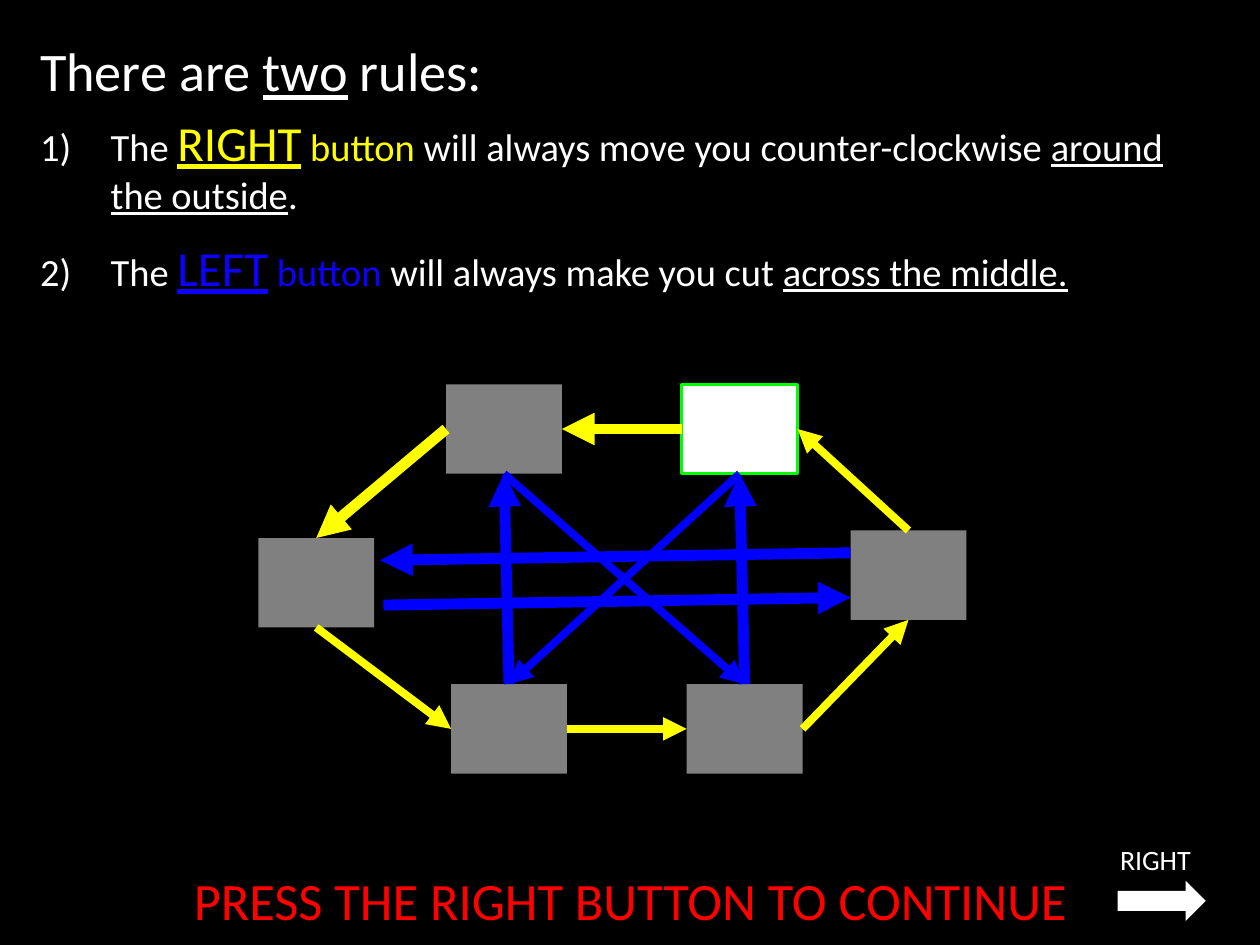
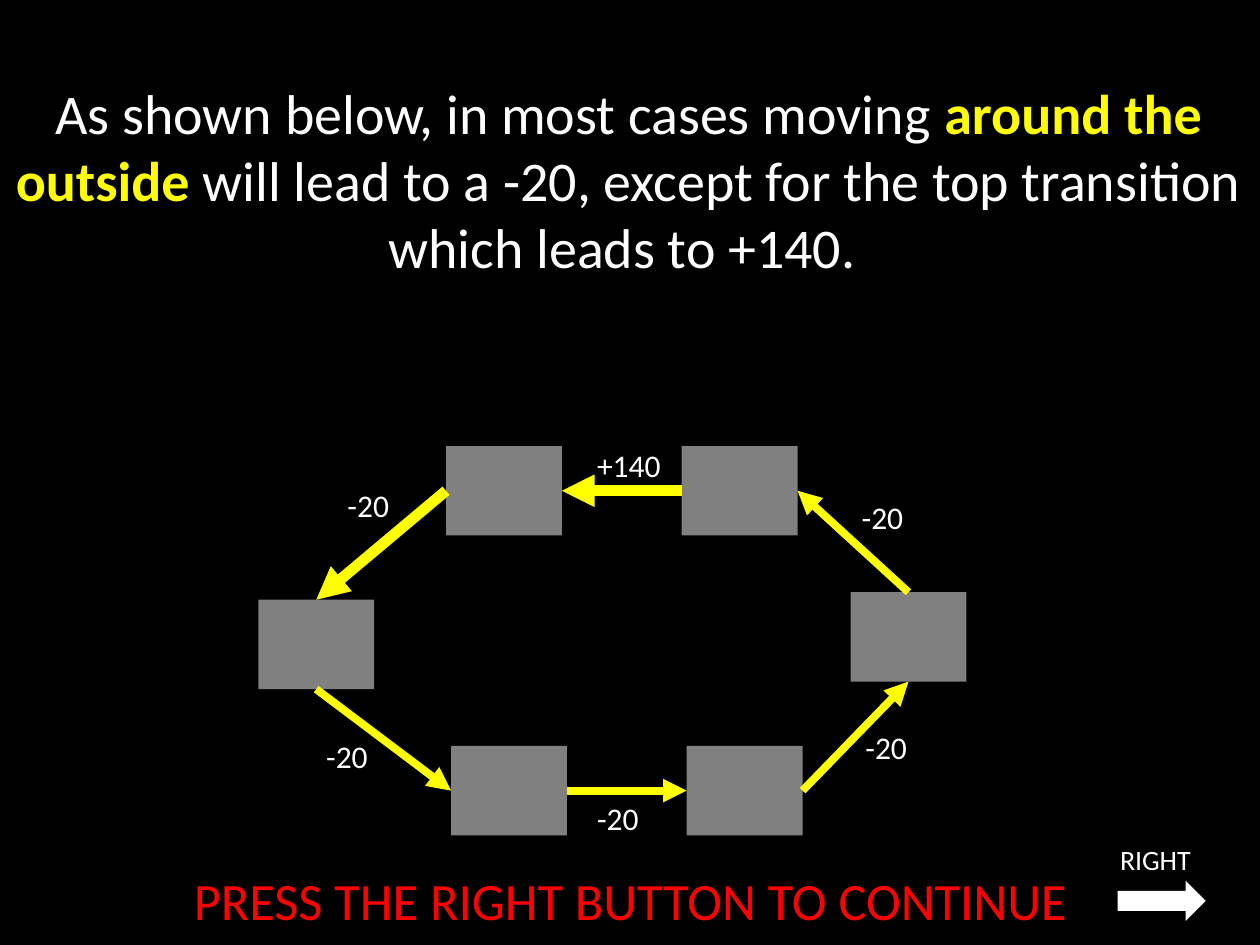
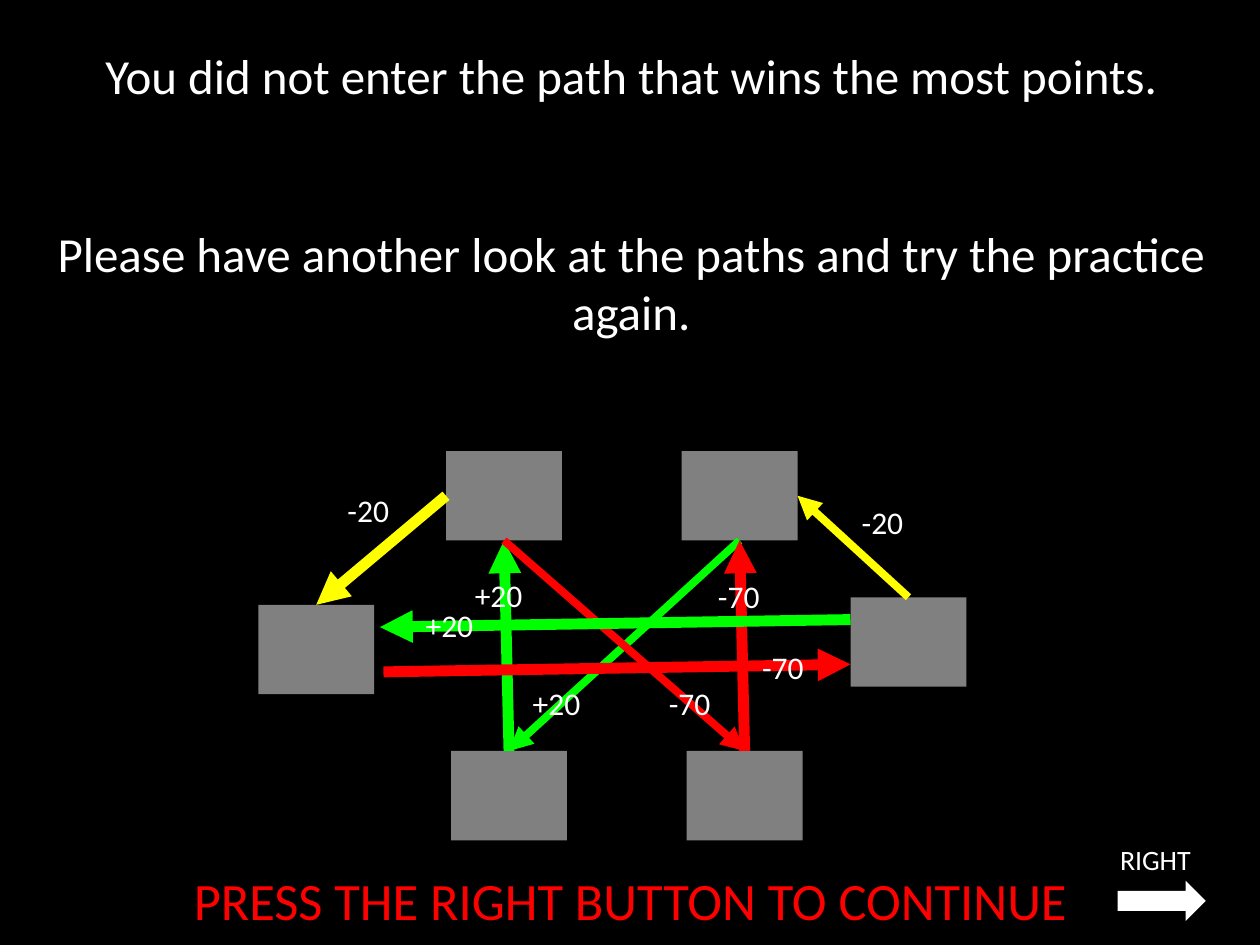
"""Build three instruction slides about moving between six rooms."""
import dataclasses

import lxml.etree
import pptx
import pptx.dml.color
import pptx.enum.shapes
import pptx.enum.text
import pptx.oxml.ns
import pptx.util

Inches = pptx.util.Inches
Align = pptx.enum.text.PP_ALIGN
Anchor = pptx.enum.text.MSO_ANCHOR
Shape = pptx.enum.shapes.MSO_SHAPE


@dataclasses.dataclass(frozen=True)
class Theme:
    """Colours, font and type sizes of the deck."""
    font: str = "Calibri"
    background: str = "000000"
    white: str = "FFFFFF"
    gray: str = "808080"
    yellow: str = "FFFF00"
    blue: str = "0000FF"
    left_blue: str = "0D00FF"
    green: str = "00FF00"
    red: str = "FF0000"
    heading: int = 31
    statement: int = 32
    message: int = 28
    rule: int = 22
    button: int = 28
    prompt: int = 30
    label: int = 18
    key: int = 16
    thick: float = 6.25
    thin: float = 4.5


@dataclasses.dataclass(frozen=True)
class Route:
    """An arrow between two (room, x share, y share) points and its label place."""
    start: tuple
    end: tuple
    weight: float
    label_at: tuple


THEME = Theme()
ROOM_WIDTH, ROOM_HEIGHT = 0.92, 0.71
ROOMS = {
    "top left": (3.54, 0), "top right": (5.41, 0),
    "right": (6.75, 1.16), "left": (2.05, 1.22),
    "bottom left": (3.58, 2.38), "bottom right": (5.45, 2.38),
}
ROUTES = {
    "top left to left": Route(("top left", 0, 0.5), ("left", 0.5, 0), THEME.thick, (2.66, 0.27)),
    "left to bottom": Route(("left", 0.5, 1), ("bottom left", 0, 0.5), THEME.thin, (2.49, 2.26)),
    "left side up": Route(("bottom left", 0.5, 0), ("top left", 0.5, 1), THEME.thick, (3.67, 0.94)),
    "along bottom": Route(("bottom left", 1, 0.5), ("bottom right", 0, 0.5), THEME.thin, (4.64, 2.75)),
    "bottom to right": Route(("bottom right", 1, 0.5), ("right", 0.5, 1), THEME.thin, (6.77, 2.19)),
    "right to top": Route(("right", 0.5, 0), ("top right", 1, 0.5), THEME.thin, (6.74, 0.36)),
    "along top": Route(("top right", 0, 0.5), ("top left", 1, 0.5), THEME.thick, (4.64, -0.05)),
    "diagonal to left": Route(("top right", 0.5, 1), ("bottom left", 0.5, 0), THEME.thin, (4.13, 1.8)),
    "diagonal to right": Route(("top left", 0.5, 1), ("bottom right", 0.5, 0), THEME.thin, (5.21, 1.8)),
    "right side up": Route(("bottom right", 0.5, 0), ("top right", 0.5, 1), THEME.thick, (5.6, 0.95)),
    "across to left": Route(("right", 0, 0.25), ("left", 1.05, 0.25), THEME.thick, (3.28, 1.18)),
    "across to right": Route(("left", 1.08, 0.75), ("right", 0, 0.75), THEME.thick, (5.95, 1.51)),
}
OUTSIDE = ("top left to left", "left to bottom", "along bottom",
           "bottom to right", "right to top", "along top")


def rgb(value):
    """Return a colour object for a hex value."""
    return pptx.dml.color.RGBColor.from_string(value)


def add_span(para, text, size, color=THEME.white, bold=False, underline=False):
    """Add one formatted run to a paragraph."""
    span = para.add_run()
    span.text = text
    font = span.font
    font.name, font.size = THEME.font, pptx.util.Pt(size)
    font.bold, font.underline = bold, underline
    font.color.rgb = rgb(color)


def add_box(page, left, top, width, height, anchor=Anchor.TOP):
    """Add an empty wrapping text box and return its frame."""
    box = page.shapes.add_textbox(Inches(left), Inches(top), Inches(width), Inches(height))
    frame = box.text_frame
    frame.word_wrap = True
    frame.vertical_anchor = anchor
    return frame


def add_para(frame, spans, align=Align.LEFT, before=0, after=0, numbered=False):
    """Fill the first free paragraph of a frame with (text, format) spans."""
    first = frame.paragraphs[0]
    para = first if not first.runs else frame.add_paragraph()
    para.alignment = align
    para.space_before, para.space_after = pptx.util.Pt(before), pptx.util.Pt(after)
    if numbered:
        properties = para._p.get_or_add_pPr()
        properties.set("marL", str(Inches(0.56)))
        properties.set("indent", str(-Inches(0.56)))
        lxml.etree.SubElement(properties, pptx.oxml.ns.qn("a:buAutoNum"), type="arabicParenR")
    for text, style in spans:
        add_span(para, text, **style)


def add_shape(page, kind, left, top, width, height, fill, outline=None):
    """Add a flat preset shape with an optional outline."""
    shape = page.shapes.add_shape(kind, Inches(left), Inches(top), Inches(width), Inches(height))
    shape.shadow.inherit = False
    shape.fill.solid()
    shape.fill.fore_color.rgb = rgb(fill)
    if outline:
        shape.line.color.rgb = rgb(outline)
        shape.line.width = pptx.util.Pt(2)
    else:
        shape.line.fill.background()


def add_arrow(page, start, end, color, weight):
    """Add a straight arrow from start to end."""
    points = [Inches(value) for value in (*start, *end)]
    arrow = page.shapes.add_connector(pptx.enum.shapes.MSO_CONNECTOR.STRAIGHT, *points)
    arrow.line.color.rgb = rgb(color)
    arrow.line.width = pptx.util.Pt(weight)
    qn = pptx.oxml.ns.qn
    lxml.etree.SubElement(arrow.line._get_or_add_ln(), qn("a:tailEnd"), type="triangle")
    lxml.etree.SubElement(arrow._element.spPr, qn("a:effectLst"))


def locate(point, top):
    """Return the slide position of a (room, x share, y share) point."""
    room, across, down = point
    left, drop = ROOMS[room]
    return left + across * ROOM_WIDTH, top + drop + down * ROOM_HEIGHT


def add_map(page, top, colors, labels=None, current=None):
    """Draw the rooms, the coloured routes and the point labels."""
    for room, (left, drop) in ROOMS.items():
        fill, outline = (THEME.white, THEME.green) if room == current else (THEME.gray, None)
        add_shape(page, Shape.RECTANGLE, left, top + drop, ROOM_WIDTH, ROOM_HEIGHT, fill, outline)
    for name, route in ROUTES.items():
        if name in colors:
            add_arrow(page, locate(route.start, top), locate(route.end, top),
                      colors[name], route.weight)
    for name, text in (labels or {}).items():
        left, drop = ROUTES[name].label_at
        frame = add_box(page, left, top + drop, 0.73, 0.4)
        add_para(frame, [(text, {"size": THEME.label})])


def add_page(deck):
    """Add a black page with the prompt and the button key."""
    page = deck.slides.add_slide(deck.slide_layouts[6])
    page.background.fill.solid()
    page.background.fill.fore_color.rgb = rgb(THEME.background)
    prompt = add_box(page, 0, 6.78, 10.01, 0.72, Anchor.MIDDLE)
    add_para(prompt, [("PRESS THE RIGHT BUTTON TO CONTINUE",
                       {"size": THEME.prompt, "color": THEME.red})], Align.CENTER)
    key = add_box(page, 8.33, 6.64, 1.68, 0.88)
    add_para(key, [("RIGHT", {"size": THEME.key})], Align.CENTER)
    add_shape(page, Shape.RIGHT_ARROW, 8.87, 6.99, 0.7, 0.32, THEME.white)
    return page


def add_rule(frame, button, color, action, route, ending=None):
    """Add a numbered rule that names a button and its route."""
    plain = {"size": THEME.rule}
    spans = [
        ("The ", plain),
        (button, {"size": THEME.button, "color": color, "underline": True}),
        (" button ", {"size": THEME.rule, "color": color}),
        (action, plain),
        (route, {"size": THEME.rule, "underline": True}),
    ]
    if ending:
        spans.append((ending, plain))
    add_para(frame, spans, before=5.5, after=6, numbered=True)


def build_rules(deck):
    """Build the page that states the two rules."""
    page = add_page(deck)
    frame = add_box(page, 0.22, 0.25, 9.55, 2.28)
    plain = {"size": THEME.heading}
    add_para(frame, [("There are ", plain), ("two", {**plain, "underline": True}),
                     (" rules:", plain)])
    add_rule(frame, "RIGHT", THEME.yellow, "will always move you counter-clockwise ",
             "around the outside", ".")
    add_rule(frame, "LEFT", THEME.left_blue, "will always make you cut ", "across the middle.")
    colors = {name: THEME.yellow if name in OUTSIDE else THEME.blue for name in ROUTES}
    add_map(page, 3.05, colors, current="top right")


def build_outside(deck):
    """Build the page about points won around the outside."""
    page = add_page(deck)
    frame = add_box(page, 0, 0.57, 9.98, 2.05)
    plain = {"size": THEME.statement}
    add_para(frame, [
        ("As shown below, in most cases moving ", plain),
        ("around the outside", {**plain, "color": THEME.yellow, "bold": True}),
        (" will lead to a -20, except for the top transition which leads to +140. ", plain),
    ], Align.CENTER)
    labels = {**dict.fromkeys(OUTSIDE, "-20"), "along top": "+140"}
    add_map(page, 3.54, dict.fromkeys(OUTSIDE, THEME.yellow), labels)


def build_retry(deck):
    """Build the page that asks for another try."""
    page = add_page(deck)
    frame = add_box(page, 0.02, 0.31, 9.98, 2.92)
    plain = {"size": THEME.message}
    add_para(frame, [("You did not enter the path that wins the most points.", plain)],
             Align.CENTER, after=12)
    add_para(frame, [("Please have another look at the paths and try the practice again.", plain)],
             Align.CENTER, before=56)
    groups = (
        (THEME.yellow, "-20", ("top left to left", "right to top")),
        (THEME.green, "+20", ("left side up", "diagonal to left", "across to left")),
        (THEME.red, "-70", ("diagonal to right", "right side up", "across to right")),
    )
    colors = {name: color for color, _, names in groups for name in names}
    labels = {name: points for _, points, names in groups for name in names}
    add_map(page, 3.58, colors, labels)


def main():
    """Build and save the deck."""
    deck = pptx.Presentation()
    deck.slide_width, deck.slide_height = Inches(10), Inches(7.5)
    build_rules(deck)
    build_outside(deck)
    build_retry(deck)
    deck.save("out.pptx")


if __name__ == "__main__":
    main()
